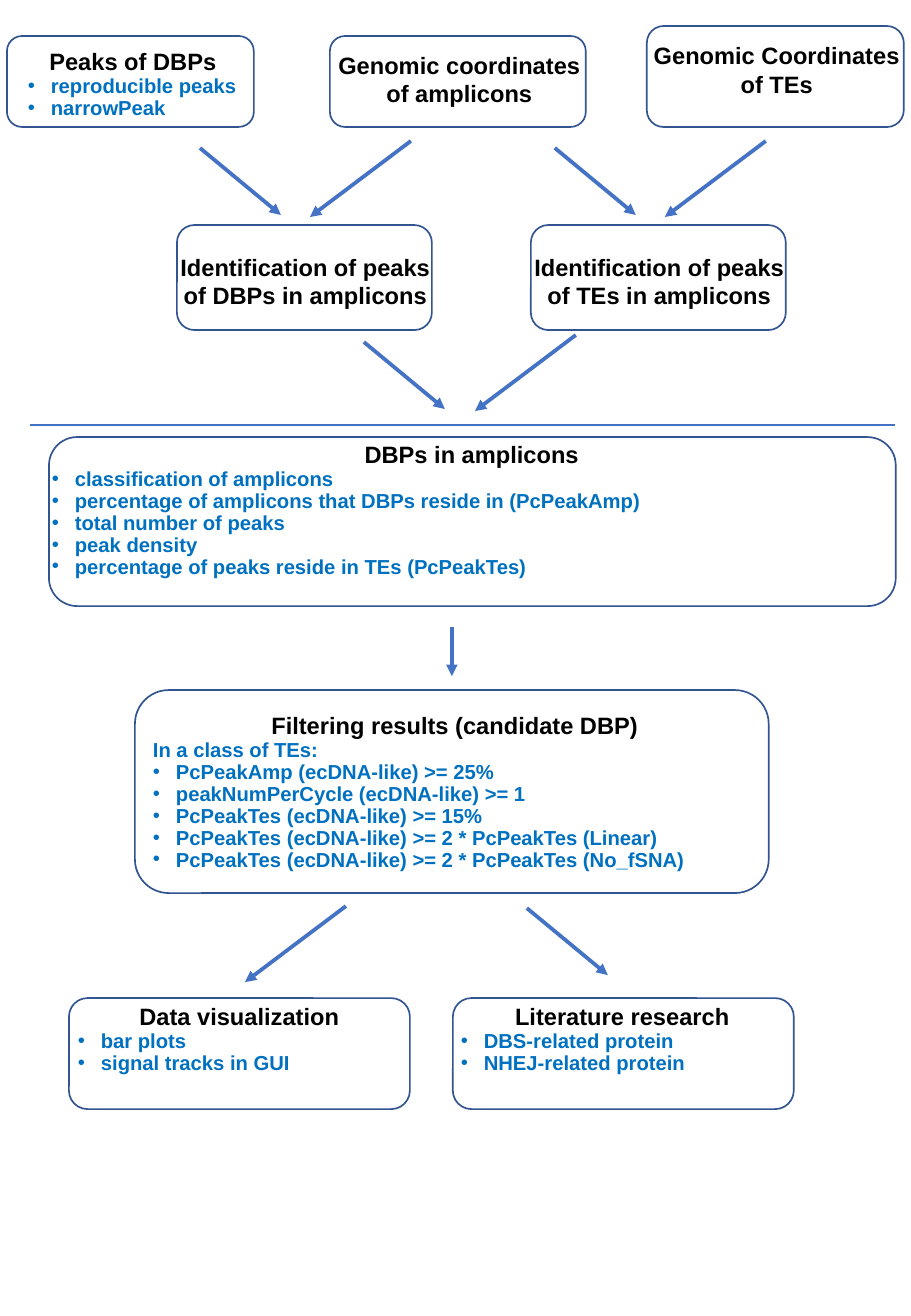
from lxml import etree
from pptx import Presentation
from pptx import util as u
from pptx.dml.color import RGBColor
from pptx.enum import shapes, text
from pptx.oxml import ns

PX = 914400 / 121.5
HEX = {"edge": "325491", "arrow": "4472C4", "head": "000000", "item": "0070C0"}
HANG = 23


def px(*vals):
    return [u.Emu(round(v * PX)) for v in vals]


def join(x1, y1, x2, y2, width, tip=False):
    con = slide.shapes.add_connector(shapes.MSO_CONNECTOR.STRAIGHT, *px(x1, y1, x2, y2))
    con.line.color.rgb = RGBColor.from_string(HEX["arrow"])
    con.line.width = u.Pt(width)
    if tip:
        etree.SubElement(con.line._get_or_add_ln(), ns.qn("a:tailEnd"), type="triangle")
    etree.SubElement(con._element.spPr, ns.qn("a:effectLst"))


prs = Presentation()
prs.slide_width, prs.slide_height = u.Inches(7.5), u.Inches(10.83)
slide = prs.slides.add_slide(prs.slide_layouts[6])

# Steps: frame, text area, wrap, heading lines, plain lines, bulleted lines
steps = [
    ((7, 36, 247, 91), (16, 41, 234, 85), False, ["Peaks of DBPs"], [],
     ["reproducible peaks", "narrowPeak"]),
    ((330, 36, 256, 91), (290, 45, 339, 69), False,
     ["Genomic coordinates", "of amplicons"], [], []),
    ((647, 26, 257, 101), (616, 35, 322, 63), False,
     ["Genomic Coordinates", "of TEs"], [], []),
    ((177, 225, 255, 105), (168, 247, 275, 66), False,
     ["Identification of peaks", "of DBPs in amplicons"], [], []),
    ((531, 225, 255, 105), (522, 247, 275, 66), False,
     ["Identification of peaks", "of TEs in amplicons"], [], []),
    ((49, 437, 847, 169), (40, 434, 864, 152), True, ["DBPs in amplicons"], [],
     ["classification of amplicons",
      "percentage of amplicons that DBPs reside in (PcPeakAmp)",
      "total number of peaks", "peak density",
      "percentage of peaks reside in TEs (PcPeakTes)"]),
    ((135, 690, 634, 203), (141, 705, 628, 174), True,
     ["Filtering results (candidate DBP)"], ["In a class of TEs:"],
     ["PcPeakAmp (ecDNA-like) >= 25%", "peakNumPerCycle (ecDNA-like) >= 1",
      "PcPeakTes (ecDNA-like) >= 15%",
      "PcPeakTes (ecDNA-like) >= 2 * PcPeakTes (Linear)",
      "PcPeakTes (ecDNA-like) >= 2 * PcPeakTes (No_fSNA)"]),
    ((69, 998, 341, 111), (66, 996, 347, 85), True, ["Data visualization"], [],
     ["bar plots", "signal tracks in GUI"]),
    ((453, 998, 341, 111), (449, 996, 347, 85), True, ["Literature research"], [],
     ["DBS-related protein", "NHEJ-related protein"]),
]

for frame, area, wrap, heads, plain, items in steps:
    group = slide.shapes.add_group_shape()
    box = group.shapes.add_shape(shapes.MSO_SHAPE.ROUNDED_RECTANGLE, *px(*frame))
    box.shadow.inherit = False
    box.fill.background()
    box.line.color.rgb = RGBColor.from_string(HEX["edge"])
    box.line.width = u.Pt(1)

    body = group.shapes.add_textbox(*px(*area)).text_frame
    body.word_wrap = wrap
    body.auto_size = text.MSO_AUTO_SIZE.SHAPE_TO_FIT_TEXT
    body.text = "\n".join(heads + plain + items)
    for n, para in enumerate(body.paragraphs):
        head = n < len(heads)
        font = para.runs[0].font
        font.name, font.bold = "Arial", True
        font.size = u.Pt(14 if head else 12)
        font.color.rgb = RGBColor.from_string(HEX["head" if head else "item"])
        if head:
            para.alignment = text.PP_ALIGN.CENTER
            continue
        para.alignment = text.PP_ALIGN.LEFT
        para.line_spacing = u.Pt(13)
        if n >= len(heads + plain):
            props = para._p.get_or_add_pPr()
            hang = px(HANG)[0]
            props.set("marL", str(hang))
            props.set("indent", str(-hang))
            etree.SubElement(props, ns.qn("a:buFont"), typeface="Arial")
            etree.SubElement(props, ns.qn("a:buChar"), char="•")

# Divider
join(30, 425, 895, 425, 1.5)

# Arrows: straight down, then slanting right and left
down, right, left = (0, 49), (81, 67), (-101, 76)
starts = [
    (down, [(452, 627)]),
    (right, [(200, 148), (555, 148), (364, 342), (527, 908)]),
    (left, [(411, 141), (766, 141), (576, 335), (346, 906)]),
]
for (dx, dy), spots in starts:
    for x, y in spots:
        join(x, y, x + dx, y + dy, 2.25, tip=True)

prs.save("out.pptx")
